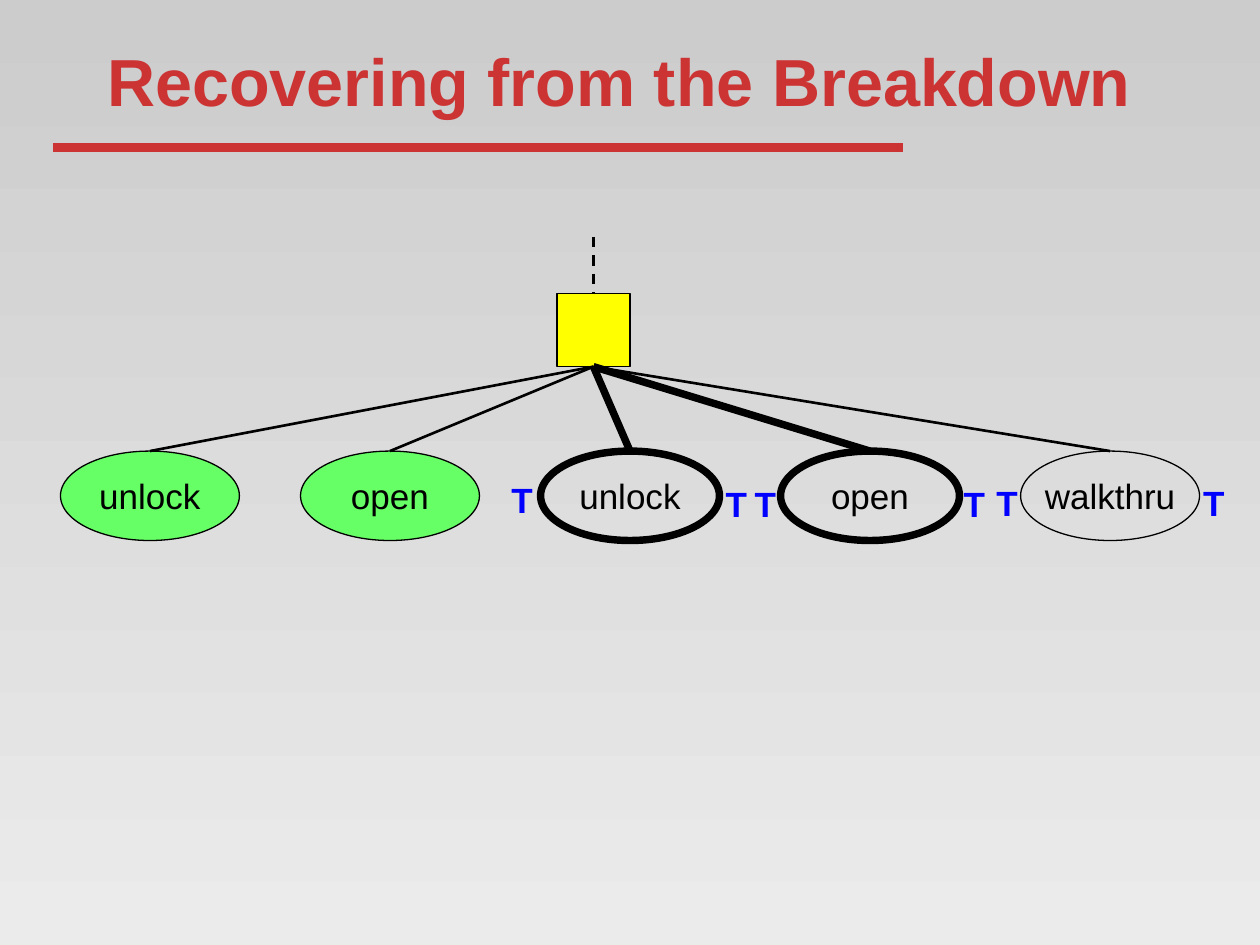
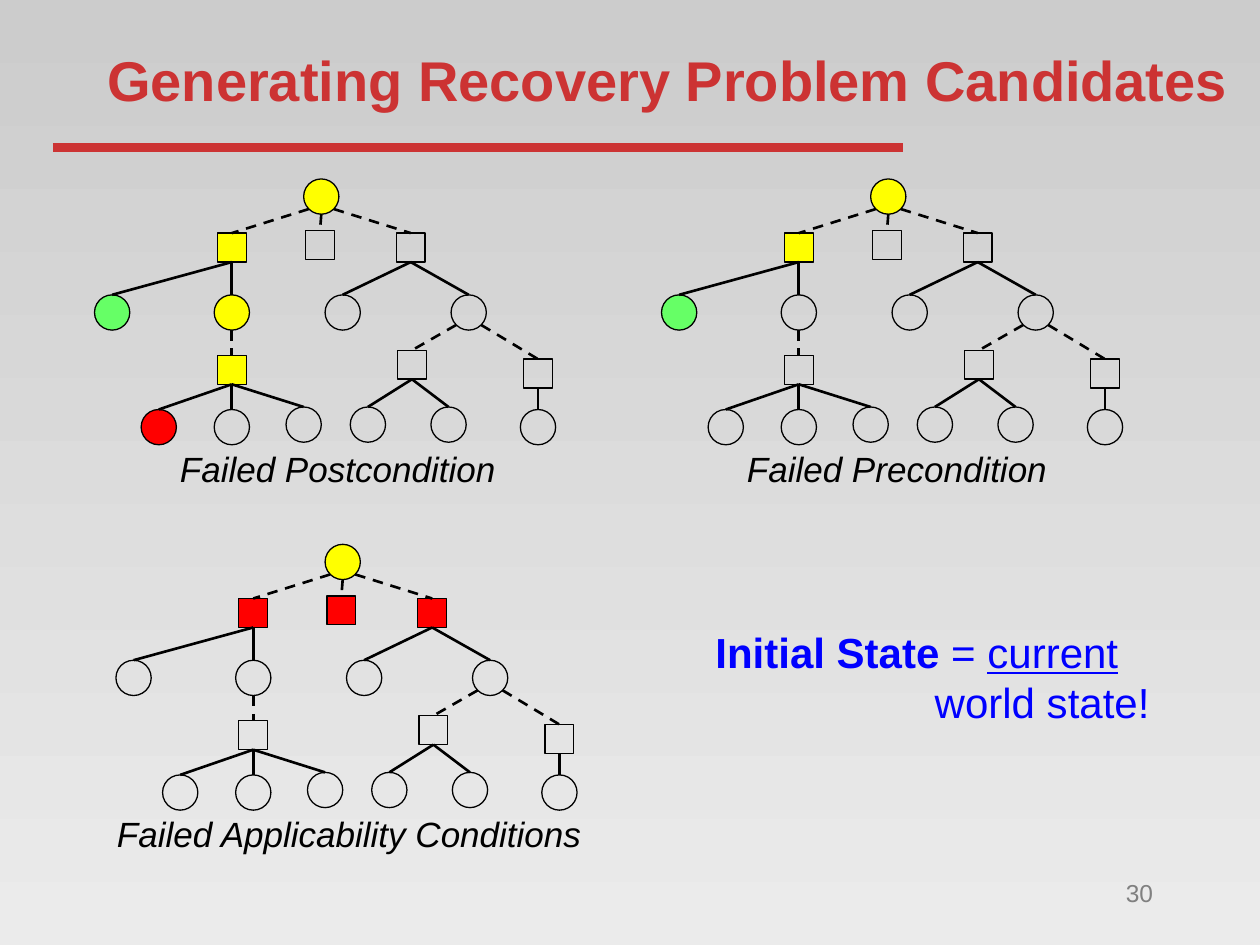
import pptx
import pptx.dml.color
import pptx.enum.dml
import pptx.enum.shapes
import pptx.enum.text
import pptx.util
from lxml import etree

INCH = pptx.util.Inches
PT = pptx.util.Pt
SHAPE = pptx.enum.shapes.MSO_SHAPE
ALIGN = pptx.enum.text.PP_ALIGN
ANCHOR = pptx.enum.text.MSO_ANCHOR

WIDTH, HEIGHT = 10, 7.5
FONT = "Arial"
BLACK, GRAY, BLUE, BRAND = "000000", "808080", "0000FF", "CC3333"
YELLOW, GREEN, RED = "FFFF00", "66FF66", "FF0000"
BACKGROUND = ("CCCCCC", "EBEBEB")
THIN, EDGE, THICK = 0.75, 1.5, 4.25

# Slide 1: the steps under one recipe: label, fill, outline, edge weight
STEPS = [
    ("unlock", GREEN, THIN, EDGE),
    ("open", GREEN, THIN, EDGE),
    ("unlock", None, THICK, THICK),
    ("open", None, THICK, THICK),
    ("walkthru", None, THIN, EDGE),
]
STEP_LEFT, STEP_TOP, STEP_PITCH = 0.48, 3.58, 1.905
STEP_W, STEP_H = 1.42, 0.71
RECIPE_X, RECIPE_TOP, RECIPE_SIZE = 4.71, 2.33, 0.58
T_MARKS = [(3.96, 3.75), (5.66, 3.78), (5.89, 3.78),
           (7.55, 3.78), (7.81, 3.77), (9.45, 3.77)]

# Slide 2: node -> (centre x, top y). A node's parent is its name less the
# last digit; goals (circles) and recipes (squares) alternate by level.
NODES = {
    "0": (2.55, 1.42),
    "01": (1.84, 1.85), "02": (2.54, 1.83), "03": (3.26, 1.85),
    "011": (0.89, 2.34), "012": (1.84, 2.34),
    "031": (2.72, 2.34), "032": (3.72, 2.34),
    "0121": (1.84, 2.82), "0321": (3.27, 2.78), "0322": (4.27, 2.85),
    "01211": (1.26, 3.25), "01212": (1.84, 3.25), "01213": (2.41, 3.23),
    "03211": (2.92, 3.23), "03212": (3.56, 3.23), "03221": (4.27, 3.25),
}
CIRCLE, SQUARE = 0.28, 0.23
# caption, tree offset, caption left and width, node fills
TREES = [
    ("Failed Postcondition", (0, 0), 1.33, 2.83,
     {"0": YELLOW, "01": YELLOW, "012": YELLOW, "0121": YELLOW,
      "011": GREEN, "01211": RED}),
    ("Failed Precondition", (4.5, 0), 5.83, 2.83,
     {"0": YELLOW, "01": YELLOW, "011": GREEN}),
    ("Failed Applicability Conditions", (0.17, 2.9), 0.83, 4.25,
     {"0": YELLOW, "01": RED, "02": RED, "03": RED}),
]
CAPTION_TOP = 3.5


def rgb(value):
    return pptx.dml.color.RGBColor.from_string(value)


def add_run(p, text, size, color, bold=False, italic=False, underline=False):
    r = p.add_run()
    r.text = text
    f = r.font
    f.name, f.size, f.color.rgb = FONT, PT(size), rgb(color)
    f.bold, f.italic, f.underline = bold, italic, underline


def add_text(shapes, box, text, size, color, align=ALIGN.LEFT, **style):
    tf = shapes.add_textbox(*map(INCH, box)).text_frame
    tf.word_wrap = True
    p = tf.paragraphs[0]
    p.alignment = align
    add_run(p, text, size, color, **style)
    return tf


def add_node(shapes, kind, center_x, top, w, h, fill=None, outline=THIN):
    sp = shapes.add_shape(kind, *map(INCH, (center_x - w / 2, top, w, h)))
    sp.shadow.inherit = False
    if fill:
        sp.fill.solid()
        sp.fill.fore_color.rgb = rgb(fill)
    else:
        sp.fill.background()
    sp.line.color.rgb = rgb(BLACK)
    sp.line.width = PT(outline)
    return sp


def add_line(shapes, start, end, weight=EDGE, color=BLACK, dashed=False):
    line = shapes.add_connector(pptx.enum.shapes.MSO_CONNECTOR.STRAIGHT,
                                *map(INCH, (*start, *end)))
    line.line.color.rgb = rgb(color)
    line.line.width = PT(weight)
    if dashed:
        line.line.dash_style = pptx.enum.dml.MSO_LINE.DASH
    etree.SubElement(line.element.spPr, pptx.oxml.ns.qn("a:effectLst"))
    return line


def set_background(master):
    fill = master.background.fill
    fill.gradient()
    fill.gradient_angle = 270
    for stop, color in zip(fill.gradient_stops, BACKGROUND):
        stop.color.rgb = rgb(color)


def add_slide(prs, title, size, title_width):
    """Add a slide with the shared title style and the rule under it."""
    slide = prs.slides.add_slide(prs.slide_layouts.get_by_name("Title Only"))
    add_line(slide.shapes, (0.42, 1.17), (7.17, 1.17), 5, BRAND)
    sp = slide.shapes.title
    sp.left, sp.top, sp.width, sp.height = map(INCH, (0.75, 0.17, title_width, 0.92))
    tf = sp.text_frame
    tf.vertical_anchor = ANCHOR.MIDDLE
    tf.auto_size = pptx.enum.text.MSO_AUTO_SIZE.NONE
    p = tf.paragraphs[0]
    p.alignment = ALIGN.LEFT
    add_run(p, title, size, BRAND, bold=True)
    return slide


def build_breakdown(prs):
    shapes = add_slide(prs, "Recovering from the Breakdown", 38, 8.5).shapes
    recipe = add_node(shapes, SHAPE.RECTANGLE, RECIPE_X, RECIPE_TOP,
                      RECIPE_SIZE, RECIPE_SIZE, YELLOW)
    add_line(shapes, (RECIPE_X, 1.88), (RECIPE_X, RECIPE_TOP),
             dashed=True).end_connect(recipe, 0)
    for i, (label, fill, outline, weight) in enumerate(STEPS):
        x = STEP_LEFT + i * STEP_PITCH + STEP_W / 2
        step = add_node(shapes, SHAPE.OVAL, x, STEP_TOP, STEP_W, STEP_H, fill, outline)
        tf = step.text_frame
        tf.word_wrap = False
        tf.vertical_anchor = ANCHOR.MIDDLE
        p = tf.paragraphs[0]
        p.alignment = ALIGN.CENTER
        add_run(p, label, 20, BLACK)
        edge = add_line(shapes, (RECIPE_X, RECIPE_TOP + RECIPE_SIZE), (x, STEP_TOP), weight)
        edge.begin_connect(recipe, 2)
        edge.end_connect(step, 0)
    for left, top in T_MARKS:
        add_text(shapes, (left, top, 0.42, 0.44), "T", 20, BLUE, bold=True)


def is_circle(name):
    return len(name) % 2 == 1


def edge_start(parent, child):
    """Bottom of the parent, or a circle's lower diagonal towards the child."""
    (x, y), dx = NODES[parent], NODES[child][0] - NODES[parent][0]
    if not is_circle(parent):
        return x, y + SQUARE
    if abs(dx) < 0.05:
        return x, y + CIRCLE
    reach = CIRCLE / 2 * 0.71
    return x + (reach if dx > 0 else -reach), y + CIRCLE / 2 + reach


def add_tree(slide, caption, offset, caption_left, caption_width, fills):
    shapes = slide.shapes.add_group_shape().shapes
    dx, dy = offset
    placed = {}
    for name, (x, y) in NODES.items():
        kind, size = (SHAPE.OVAL, CIRCLE) if is_circle(name) else (SHAPE.RECTANGLE, SQUARE)
        placed[name] = add_node(shapes, kind, x + dx, y + dy, size, size, fills.get(name))
    for child, (x, y) in NODES.items():
        parent = child[:-1]
        if not parent:
            continue
        start_x, start_y = edge_start(parent, child)
        edge = add_line(shapes, (start_x + dx, start_y + dy), (x + dx, y + dy),
                        dashed=is_circle(parent))
        if not is_circle(parent):
            edge.begin_connect(placed[parent], 2)
        edge.end_connect(placed[child], 0)
    add_text(shapes, (caption_left, CAPTION_TOP + dy, caption_width, 0.44),
             caption, 20, BLACK, italic=True)


def build_candidates(prs):
    slide = add_slide(prs, "Generating Recovery Problem Candidates", 32, 9.25)
    for tree in TREES:
        add_tree(slide, *tree)
    tf = add_text(slide.shapes, (5.58, 4.92, 3.92, 0.91), "Initial State ", 24, BLUE, bold=True)
    p = tf.paragraphs[0]
    add_run(p, "= ", 24, BLUE)
    add_run(p, "current", 24, BLUE, underline=True)
    p = tf.add_paragraph()
    p._p.get_or_add_pPr().set("marL", str(INCH(1.74)))
    add_run(p, "world state!", 24, BLUE)
    add_text(slide.shapes, (7.17, 6.92, 2.08, 0.5), "30", 14, GRAY, ALIGN.RIGHT)


def main():
    prs = pptx.Presentation()
    prs.slide_width, prs.slide_height = INCH(WIDTH), INCH(HEIGHT)
    set_background(prs.slide_master)
    build_breakdown(prs)
    build_candidates(prs)
    prs.save("out.pptx")


if __name__ == "__main__":
    main()
